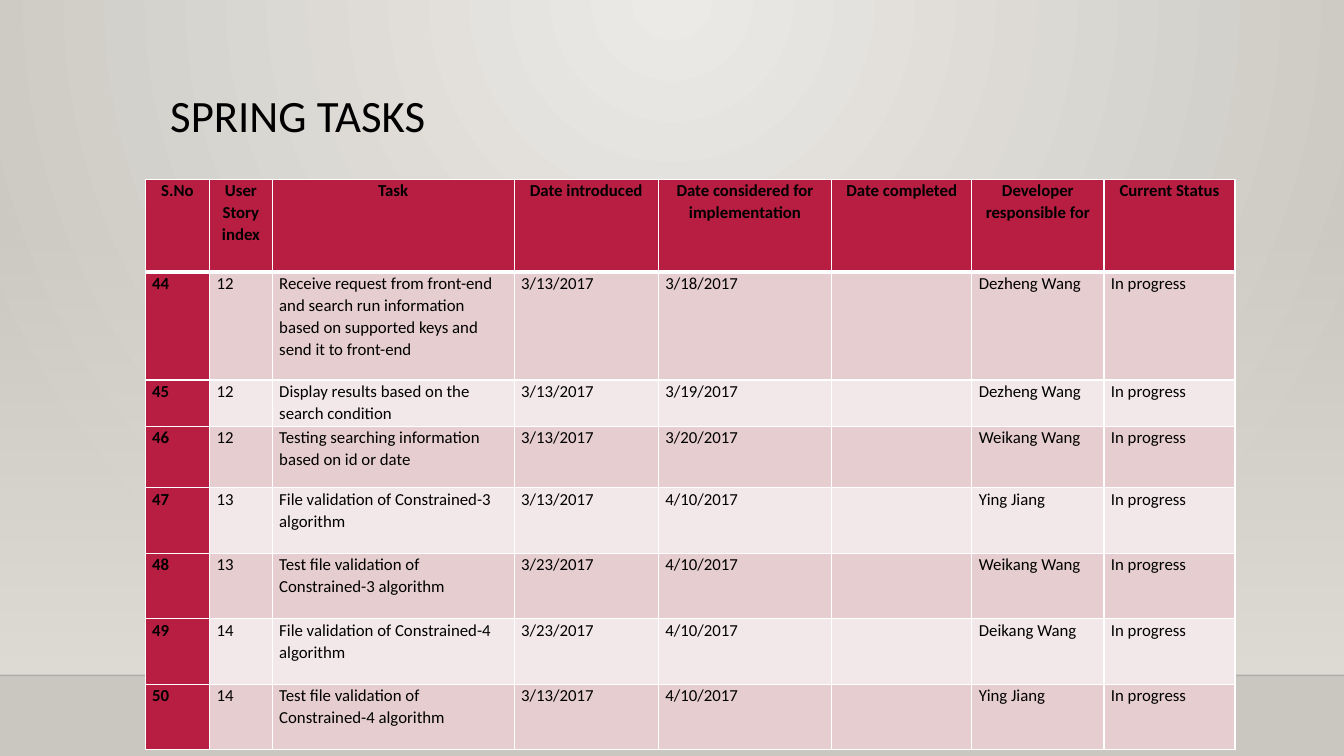
import pptx
import pptx.dml.color
import pptx.enum.shapes
import pptx.enum.text
import pptx.oxml
import pptx.oxml.ns
import pptx.util

Inches = pptx.util.Inches
Pt = pptx.util.Pt
RGBColor = pptx.dml.color.RGBColor
PP_ALIGN = pptx.enum.text.PP_ALIGN
qn = pptx.oxml.ns.qn
NS = pptx.oxml.ns.nsdecls("a")

BLACK = RGBColor(0x00, 0x00, 0x00)
WHITE = RGBColor(0xFF, 0xFF, 0xFF)
CRIMSON = RGBColor(0xB7, 0x1E, 0x42)
ROSE = RGBColor(0xE6, 0xCD, 0xCF)
PALE_ROSE = RGBColor(0xF3, 0xE8, 0xE9)
GLOW = RGBColor(0xEC, 0xEA, 0xE7)
STONE = RGBColor(0xCA, 0xC7, 0xC1)
WALL = RGBColor(0xDF, 0xDB, 0xD5)

SLIDE_WIDTH, SLIDE_HEIGHT = 13.33, 7.5
FLOOR_TOP = 6.7

HEADINGS = ["S.No", "User Story index", "Task", "Date introduced",
            "Date considered for implementation", "Date completed",
            "Developer responsible for", "Current Status"]
COLUMN_WIDTHS = [0.64, 0.62, 2.4, 1.43, 1.72, 1.39, 1.31, 1.3]
ROW_HEIGHTS = [0.92, 1.07, 0.46, 0.61] + [0.65] * 4
FIRST_NUMBER = 44
# Story index, task, introduced, considered, developer
TASKS = [
    ("12", "Receive request from front-end and search run information based on "
     "supported keys and send it to front-end", "3/13/2017", "3/18/2017", "Dezheng Wang"),
    ("12", "Display results based on the search condition",
     "3/13/2017", "3/19/2017", "Dezheng Wang"),
    ("12", "Testing searching information based on id or date",
     "3/13/2017", "3/20/2017", "Weikang Wang"),
    ("13", "File validation of Constrained-3 algorithm",
     "3/13/2017", "4/10/2017", "Ying Jiang"),
    ("13", "Test file validation of Constrained-3 algorithm",
     "3/23/2017", "4/10/2017", "Weikang Wang"),
    ("14", "File validation of Constrained-4 algorithm",
     "3/23/2017", "4/10/2017", "Deikang Wang"),
    ("14", "Test file validation of Constrained-4 algorithm",
     "3/13/2017", "4/10/2017", "Ying Jiang"),
]


class SlideBuilder:
    font = "Calibri"

    def __init__(self, slide):
        self.slide = slide

    def set_alpha(self, fill_parent, percent):
        """Make the first colour below fill_parent partly transparent."""
        colour = next(fill_parent.iter(qn("a:srgbClr")))
        colour.append(pptx.oxml.parse_xml(f'<a:alpha {NS} val="{percent * 1000}"/>'))

    def gradient(self, fill, start, end):
        fill.gradient()
        for stop, colour in zip(fill.gradient_stops, (start, end)):
            stop.color.rgb = colour

    def background(self, centre, edge):
        self.gradient(self.slide.background.fill, centre, edge)
        linear = next(self.slide.element.iter(qn("a:lin")))
        linear.getparent().replace(linear, pptx.oxml.parse_xml(
            f'<a:path {NS} path="circle">'
            '<a:fillToRect l="43000" t="0" r="43000" b="100000"/></a:path>'))

    def fading_band(self, left, top, width, height, colour):
        band = self.slide.shapes.add_shape(
            pptx.enum.shapes.MSO_SHAPE.RECTANGLE,
            Inches(left), Inches(top), Inches(width), Inches(height))
        band.shadow.inherit = False
        band.line.fill.background()
        self.gradient(band.fill, colour, colour)
        band.fill.gradient_angle = 270
        self.set_alpha(band.element.spPr, 0)

    def horizontal_line(self, left, right, y, colour, weight, opacity):
        line = self.slide.shapes.add_connector(
            pptx.enum.shapes.MSO_CONNECTOR.STRAIGHT,
            Inches(left), Inches(y), Inches(right), Inches(y))
        line.line.color.rgb = colour
        line.line.width = Pt(weight)
        self.set_alpha(line.element.spPr, opacity)
        line.element.spPr.append(pptx.oxml.parse_xml(f"<a:effectLst {NS}/>"))

    def fill_text(self, text_frame, text, size, spacing, bold=False, align=PP_ALIGN.LEFT):
        text_frame.text = text
        paragraph = text_frame.paragraphs[0]
        paragraph.alignment = align
        paragraph.line_spacing = spacing
        for run in paragraph.runs:
            run.font.name = self.font
            run.font.size = Pt(size)
            run.font.bold = bold
            run.font.color.rgb = BLACK

    def title(self, text, left, top, width, height):
        box = self.slide.shapes.add_textbox(
            Inches(left), Inches(top), Inches(width), Inches(height))
        box.text_frame.word_wrap = True
        self.fill_text(box.text_frame, text, 32, 0.9)

    def cell_borders(self, cell, weights):
        properties = cell._tc.get_or_add_tcPr()
        for position, (side, weight) in enumerate(weights.items()):
            properties.insert(position, pptx.oxml.parse_xml(
                f'<a:ln{side} {NS} w="{Pt(weight)}"><a:solidFill>'
                f'<a:srgbClr val="{WHITE}"/></a:solidFill></a:ln{side}>'))

    def task_table(self, rows, left, top):
        table = self.slide.shapes.add_table(
            len(rows), len(COLUMN_WIDTHS), Inches(left), Inches(top),
            Inches(sum(COLUMN_WIDTHS)), Inches(sum(ROW_HEIGHTS))).table
        table.first_row = table.horz_banding = False
        for column, width in zip(table.columns, COLUMN_WIDTHS):
            column.width = Inches(width)
        for row, height in zip(table.rows, ROW_HEIGHTS):
            row.height = Inches(height)
        for r, texts in enumerate(rows):
            for c, text in enumerate(texts):
                self.task_cell(table.cell(r, c), text, r, c)

    def task_cell(self, cell, text, row, column):
        header = row == 0
        accent = header or column == 0
        cell.margin_left = cell.margin_right = Inches(0.05 if header else 0.07)
        cell.margin_top = cell.margin_bottom = 0
        cell.fill.solid()
        cell.fill.fore_color.rgb = CRIMSON if accent else (PALE_ROSE, ROSE)[row % 2]
        self.cell_borders(cell, {"L": 1, "R": 1, "T": 3 if row == 1 else 1,
                                 "B": 3 if header else 1})
        self.fill_text(cell.text_frame, text, 12, 1.07, accent,
                       PP_ALIGN.CENTER if header else PP_ALIGN.LEFT)


deck = pptx.Presentation()
deck.slide_width, deck.slide_height = Inches(SLIDE_WIDTH), Inches(SLIDE_HEIGHT)
builder = SlideBuilder(deck.slides.add_slide(deck.slide_layouts[6]))

# Backdrop: lit wall and floor edge
builder.background(GLOW, STONE)
builder.fading_band(0, 2.21, SLIDE_WIDTH, FLOOR_TOP - 2.21, WALL)
builder.horizontal_line(0, SLIDE_WIDTH, FLOOR_TOP, BLACK, 1, 20)

# Title
builder.title("SPRING TASKS", 1.59, 0.88, 10.5, 1.15)

# Task table: numbers run on, no task is completed yet
task_rows = [
    [str(number), story, task, introduced, considered, "", developer, "In progress"]
    for number, (story, task, introduced, considered, developer)
    in enumerate(TASKS, FIRST_NUMBER)]
builder.task_table([HEADINGS] + task_rows, 1.44, 1.78)

deck.save("out.pptx")
